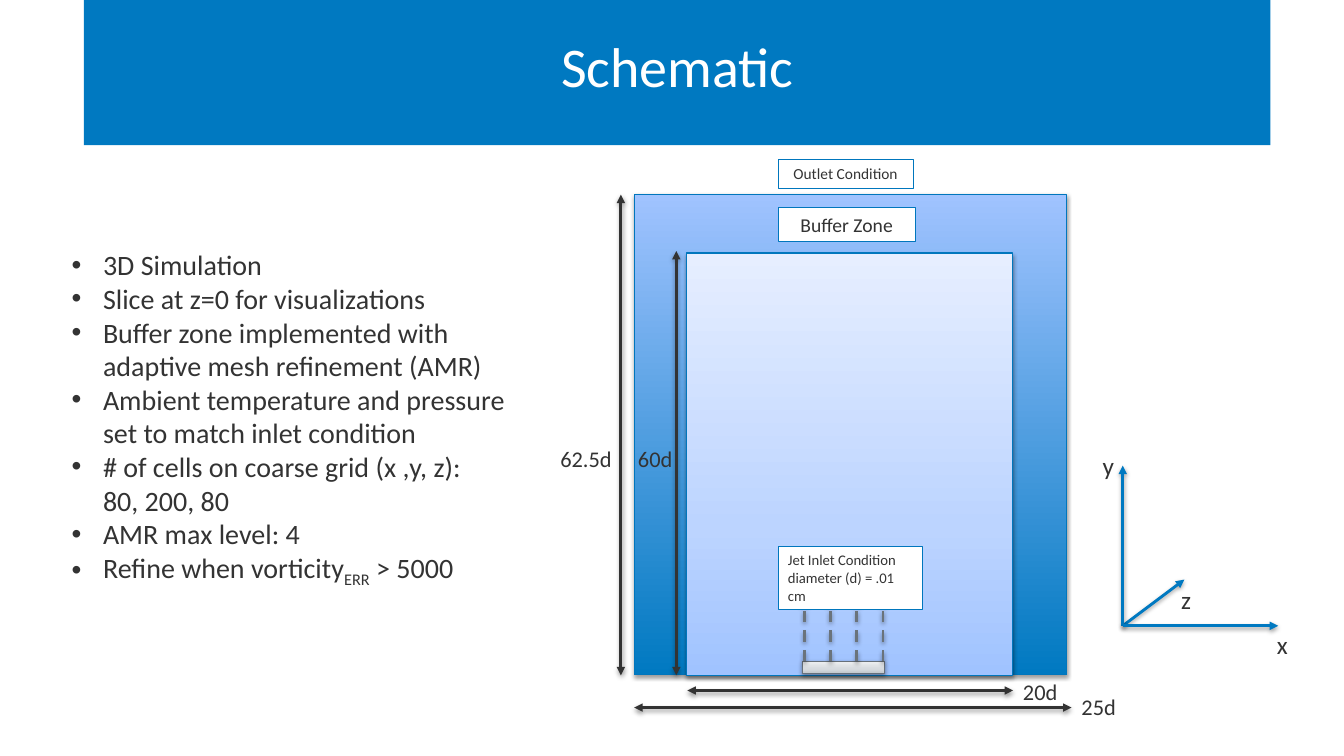
from copy import deepcopy

from lxml import etree
from pptx import Presentation
from pptx import util as u
from pptx.dml.color import RGBColor
from pptx.enum import dml, shapes, text
from pptx.oxml.ns import qn

WHITE = RGBColor(0xFF, 0xFF, 0xFF)
INK = RGBColor(0x33, 0x33, 0x33)
BLUE = RGBColor(0x00, 0x79, 0xC1)
EDGE = RGBColor(0x00, 0x76, 0xBD)
SKY = RGBColor(0xA0, 0xC3, 0xFF)
PALE_SKY = RGBColor(0xBC, 0xD4, 0xFF)
ICE = RGBColor(0xE6, 0xEE, 0xFF)
STEEL = RGBColor(0x67, 0x70, 0x79)
SILVER = RGBColor(0xC3, 0xC9, 0xCF)
PALE_SILVER = RGBColor(0xD5, 0xD9, 0xDD)
FROST = RGBColor(0xEF, 0xF1, 0xF2)
JET_GREY = RGBColor(0x6A, 0x73, 0x7B)


def cast_shadow(figure):
    effects = etree.SubElement(figure._element.spPr, qn("a:effectLst"))
    shadow = etree.SubElement(effects, qn("a:outerShdw"), blurRad="40000",
                              dist="20000", dir="5400000", rotWithShape="0")
    black = etree.SubElement(shadow, qn("a:srgbClr"), val="000000")
    etree.SubElement(black, qn("a:alpha"), val="38000")


def write(paragraph, words, size, color=INK):
    run = paragraph.add_run()
    run.text = words
    for name, value in {"name": "Calibri", "size": u.Pt(size)}.items():
        setattr(run.font, name, value)
    run.font.color.rgb = color
    return run


deck = Presentation()
deck.slide_width, deck.slide_height = u.Pt(960), u.Pt(540)
slide = deck.slides.add_slide(deck.slide_layouts[6])
RECT = shapes.MSO_SHAPE.RECTANGLE

banner = slide.shapes.add_shape(RECT, u.Pt(60), 0, u.Pt(847.5), u.Pt(103.7))
banner.shadow.inherit = False
banner.fill.solid()
banner.fill.fore_color.rgb = BLUE
banner.line.fill.background()
banner.text_frame.vertical_anchor = text.MSO_ANCHOR.MIDDLE
heading = banner.text_frame.paragraphs[0]
heading.alignment = text.PP_ALIGN.CENTER
heading.line_spacing = u.Pt(37.3)
write(heading, "Schematic", 40, WHITE)

setup = slide.shapes.add_textbox(u.Pt(44), u.Pt(173.5), u.Pt(350), u.Pt(271.5))
setup.text_frame.word_wrap = True
for number, (bulleted, words) in enumerate([
    (True, "3D Simulation"),
    (True, "Slice at z=0 for visualizations"),
    (True, "Buffer zone implemented with adaptive mesh refinement (AMR)"),
    (True, "Ambient temperature and pressure set to match inlet condition"),
    (True, "# of cells on coarse grid (x ,y, z):"),
    (False, "80, 200, 80"),
    (True, "AMR max level: 4"),
    (True, "Refine when vorticity"),
]):
    point = setup.text_frame.paragraphs[0] if number == 0 else setup.text_frame.add_paragraph()
    layout = point._p.get_or_add_pPr()
    layout.set("marL", str(u.Pt(22.5)))
    if bulleted:
        layout.set("indent", str(-u.Pt(22.5)))
        etree.SubElement(layout, qn("a:buFont"), typeface="Arial")
        etree.SubElement(layout, qn("a:buChar"), char="•")
    write(point, words, 20)
subscript = write(point, "ERR", 20)
subscript._r.get_or_add_rPr().set("baseline", "-25000")
write(point, " > 5000", 20)

buffer_stops = [(0, BLUE), (1, SKY)]
domain_stops = [(0, SKY), (0.35, PALE_SKY), (1, ICE)]
nozzle_stops = [(0, SILVER), (0.35, PALE_SILVER), (1, FROST)]
for left, top, width, height, edge, stops in [
    (453, 139, 309, 343, EDGE, buffer_stops),
    (490.3, 180.7, 233.3, 301.7, EDGE, domain_stops),
    (573.1, 472.3, 58.5, 8.7, STEEL, nozzle_stops),
]:
    region = slide.shapes.add_shape(RECT, u.Pt(left), u.Pt(top), u.Pt(width), u.Pt(height))
    region.fill.gradient()
    region.fill.gradient_angle = 90
    ramp = region._element.spPr.find(qn("a:gradFill")).find(qn("a:gsLst"))
    while len(ramp) < len(stops):
        ramp.insert(0, deepcopy(ramp[0]))
    for stop, (position, color) in zip(region.fill.gradient_stops, stops):
        stop.position = position
        stop.color.rgb = color
    region.line.color.rgb = edge
    region.line.width = u.Pt(0.75)
    cast_shadow(region)

axes = [(802, 447, *tip, BLUE, False, False)
        for tip in [(846, 414), (802, 332.6), (913, 447)]]
dimensions = [(*ends, INK, True, False) for ends in [
    (443.5, 139, 443.5, 482.4),
    (453, 505.4, 765.4, 505.4),
    (483.1, 482.4, 483.1, 179.3),
    (491, 493.2, 723.6, 493.2),
]]
jets = [(574.6 + 18.7 * i, 472.5, 574.6 + 18.7 * i, 427, JET_GREY, False, True)
        for i in range(4)]
for x1, y1, x2, y2, color, double, dashed in axes + dimensions + jets:
    arrow = slide.shapes.add_connector(shapes.MSO_CONNECTOR.STRAIGHT,
                                       u.Pt(x1), u.Pt(y1), u.Pt(x2), u.Pt(y2))
    arrow.line.color.rgb = color
    arrow.line.width = u.Pt(2)
    if dashed:
        arrow.line.dash_style = dml.MSO_LINE.DASH
    stroke = arrow.line._get_or_add_ln()
    for end in ["a:headEnd", "a:tailEnd"] if double else ["a:tailEnd"]:
        etree.SubElement(stroke, qn(end), type="triangle")
    cast_shadow(arrow)

for top, width, height, words, size, align, wrap in [
    (390.2, 103, 45.4, "Jet Inlet Condition diameter (d) = .01 cm", 10.5, text.PP_ALIGN.LEFT, True),
    (148.5, 98, 24.3, "Buffer Zone", 14, text.PP_ALIGN.CENTER, True),
    (113.8, 96.5, 20.8, "Outlet Condition", 11, text.PP_ALIGN.CENTER, False),
]:
    condition = slide.shapes.add_shape(RECT, u.Pt(555.8), u.Pt(top), u.Pt(width), u.Pt(height))
    condition.shadow.inherit = False
    condition.fill.solid()
    condition.fill.fore_color.rgb = WHITE
    condition.line.color.rgb = EDGE
    condition.line.width = u.Pt(0.75)
    condition.text_frame.word_wrap = wrap
    condition.text_frame.vertical_anchor = text.MSO_ANCHOR.TOP
    condition.text_frame.paragraphs[0].alignment = align
    write(condition.text_frame.paragraphs[0], words, size)

for left, top, width, words, size in [
    (780.5, 318.2, 21.6, "y", 18),
    (905, 445.7, 21.6, "x", 18),
    (836.6, 414, 21, "z", 18),
    (393.1, 314.6, 51.8, "62.5d", 16),
    (448.6, 314.6, 39.6, "60d", 16),
    (723.6, 481, 39.6, "20d", 16),
    (765.4, 491.8, 39.6, "25d", 16),
]:
    measure = slide.shapes.add_textbox(u.Pt(left), u.Pt(top), u.Pt(width), u.Pt(27))
    measure.text_frame.word_wrap = False
    write(measure.text_frame.paragraphs[0], words, size)

deck.save("out.pptx")
